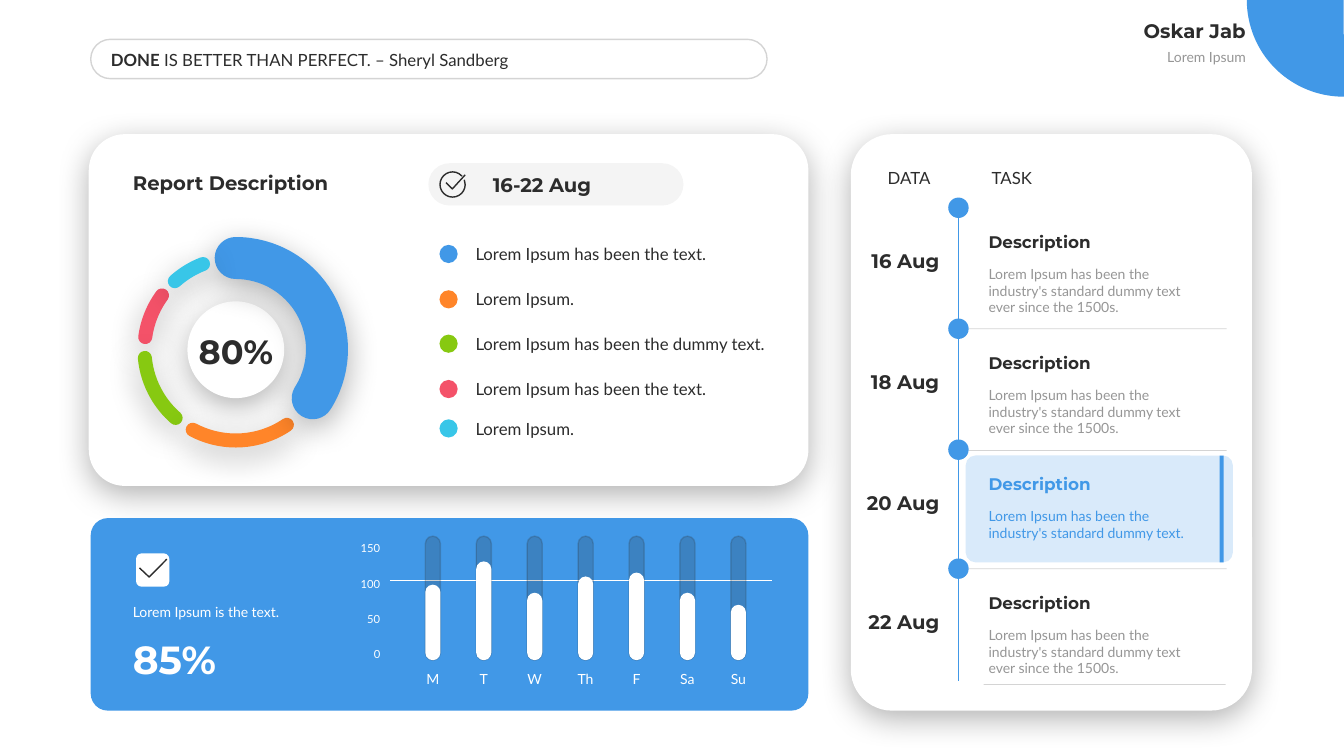
"""Build a weekly report dashboard slide with a ring chart, day bars and a task timeline."""
import lxml.etree
import pptx
import pptx.dml.color
import pptx.enum.shapes
import pptx.enum.text
import pptx.oxml.ns
import pptx.util

Pt = pptx.util.Pt
RGBColor = pptx.dml.color.RGBColor
SHAPE = pptx.enum.shapes.MSO_SHAPE
ALIGN = pptx.enum.text.PP_ALIGN
ANCHOR = pptx.enum.text.MSO_ANCHOR
qn = pptx.oxml.ns.qn

BLUE = RGBColor(0x41, 0x98, 0xE7)
PALE_BLUE = RGBColor(0xD9, 0xEA, 0xFA)
ORANGE = RGBColor(0xFF, 0x85, 0x29)
GREEN = RGBColor(0x87, 0xC9, 0x11)
RED = RGBColor(0xF4, 0x52, 0x69)
CYAN = RGBColor(0x38, 0xC6, 0xE8)
DARK = RGBColor(0x2C, 0x2C, 0x2C)
GREY = RGBColor(0x96, 0x96, 0x96)
WHITE = RGBColor(0xFF, 0xFF, 0xFF)
BLACK = RGBColor(0, 0, 0)

LEGEND = [
    ("Lorem Ipsum has been the text.", BLUE, 181.4),
    ("Lorem Ipsum.", ORANGE, 213.8),
    ("Lorem Ipsum has been the dummy text.", GREEN, 245.5),
    ("Lorem Ipsum has been the text.", RED, 277.9),
    ("Lorem Ipsum.", CYAN, 306),
]
RING_ARCS = [
    (RED, 10, 112.61, 129.69),
    (GREEN, 10, 78.71, 104.7),
    (ORANGE, 10, 33.54, 70.86),
    (BLUE, 30, 162, 19.46),
    (CYAN, 10, 136.92, 149.42),
]
DAY_BARS = [("M", 54), ("T", 70.6), ("W", 48.2), ("Th", 59.8),
            ("F", 62.6), ("Sa", 48.2), ("Su", 39.6)]
AXIS_LABELS = ["0", "50", "100", "150"]
LONG_TASK = "Lorem Ipsum has been the industry's standard dummy text ever since the 1500s."
SHORT_TASK = "Lorem Ipsum has been the industry's standard dummy text."
TASKS = [
    ("16 Aug", LONG_TASK, 148.4, DARK, GREY),
    ("18 Aug", LONG_TASK, 234.8, DARK, GREY),
    ("20 Aug", SHORT_TASK, 321.2, BLUE, BLUE),
    ("22 Aug", LONG_TASK, 406.2, DARK, GREY),
]
DIVIDERS = [(692, 234.8, 876.2), (692, 321.8, 876.2), (692, 406.2, 876.2), (702.7, 488.9, 875.5)]
CHECKS = [
    [(318.6, 130.5), (323.1, 135), (332.3, 124.9)],
    [(99.7, 405.7), (106.6, 412.2), (119.2, 399.4)],
]

presentation = pptx.Presentation()
presentation.slide_width, presentation.slide_height = Pt(960), Pt(540)
slide = presentation.slides.add_slide(presentation.slide_layouts[6])
shapes = slide.shapes


def set_alpha(parent, percent):
    color = parent.find(qn("a:solidFill") + "/" + qn("a:srgbClr"))
    lxml.etree.SubElement(color, qn("a:alpha"), val=str(percent * 1000))


def set_line(shape, color, width, alpha=100):
    shape.line.color.rgb = color
    shape.line.width = Pt(width)
    if alpha < 100:
        set_alpha(shape._element.spPr.find(qn("a:ln")), alpha)


def add_shape(kind, left, top, width, height, fill=None, alpha=100, adjustments=(), shadow=False):
    shape = shapes.add_shape(kind, Pt(left), Pt(top), Pt(width), Pt(height))
    for index, value in enumerate(adjustments):
        shape.adjustments[index] = value
    shape.line.fill.background()
    if fill is None:
        shape.fill.background()
    else:
        shape.fill.solid()
        shape.fill.fore_color.rgb = fill
        if alpha < 100:
            set_alpha(shape._element.spPr, alpha)
    shape.shadow.inherit = False
    if shadow:
        effects = shape._element.spPr.find(qn("a:effectLst"))
        outer = lxml.etree.SubElement(
            effects, qn("a:outerShdw"), blurRad=str(Pt(23)), dist=str(Pt(6)),
            dir="5400000", algn="t", rotWithShape="0")
        color = lxml.etree.SubElement(outer, qn("a:srgbClr"), val=str(BLACK))
        lxml.etree.SubElement(color, qn("a:alpha"), val="30000")
    return shape


def add_dot(center_x, center_y, diameter, color):
    return add_shape(SHAPE.OVAL, center_x - diameter / 2, center_y - diameter / 2,
                     diameter, diameter, color)


def add_line(x1, y1, x2, y2, color, alpha=100):
    line = shapes.add_connector(pptx.enum.shapes.MSO_CONNECTOR.STRAIGHT,
                                Pt(x1), Pt(y1), Pt(x2), Pt(y2))
    set_line(line, color, 0.5, alpha)
    lxml.etree.SubElement(line._element.spPr, qn("a:effectLst"))


def add_text(text, left, top, width, height, size, color=DARK, title=False,
             align=ALIGN.LEFT, anchor=ANCHOR.MIDDLE, inset=7.2, bold_words=""):
    frame = shapes.add_textbox(Pt(left), Pt(top), Pt(width), Pt(height)).text_frame
    frame.word_wrap = True
    frame.vertical_anchor = anchor
    frame.margin_left = frame.margin_right = Pt(inset)
    paragraph = frame.paragraphs[0]
    paragraph.alignment = align
    for words, bold in ((bold_words, True), (text, title)):
        if words:
            run = paragraph.add_run()
            run.text = words
            run.font.size = Pt(size)
            run.font.name = "Montserrat" if title else "Lato"
            run.font.bold = bold
            run.font.color.rgb = color


def add_check(points):
    builder = shapes.build_freeform(Pt(points[0][0]), Pt(points[0][1]))
    builder.add_line_segments([(Pt(x), Pt(y)) for x, y in points[1:]], close=False)
    check = builder.convert_to_shape()
    check.fill.background()
    check.shadow.inherit = False
    set_line(check, DARK, 1)


def add_header():
    add_shape(SHAPE.ARC, 890.6, -69.1, 138.2, 138.2, BLUE, adjustments=(53.78, 108.27))
    add_text("Lorem Ipsum", 730, 31, 167, 19.4, 10, GREY, align=ALIGN.RIGHT, anchor=ANCHOR.TOP)
    add_text("Oskar Jab", 730, 9.4, 167, 24.5, 14, title=True, align=ALIGN.RIGHT)
    quote = add_shape(SHAPE.ROUNDED_RECTANGLE, 64.8, 28.1, 483.1, 28.1, adjustments=(0.5,))
    set_line(quote, DARK, 1, 20)
    add_text(" IS BETTER THAN PERFECT. – Sheryl Sandberg", 76.3, 31.7, 406, 21.6, 12,
             inset=2.9, bold_words="DONE")


def add_report_card():
    add_shape(SHAPE.ROUNDED_RECTANGLE, 63.4, 95.8, 514.1, 251.3, WHITE,
              adjustments=(0.103,), shadow=True)
    add_text("Report Description", 87.8, 118.1, 253.4, 24.5, 14, title=True)
    add_shape(SHAPE.ROUNDED_RECTANGLE, 306, 116.6, 182.2, 30.2, DARK, 5, (0.5,))
    ring = add_shape(SHAPE.ARC, 314.3, 122.8, 18, 18, adjustments=(202.8, 191))
    set_line(ring, DARK, 1)
    add_check(CHECKS[0])
    add_text("16-22 Aug", 344.9, 119.5, 135.4, 24.5, 14, title=True)
    add_shape(SHAPE.OVAL, 133.9, 215.3, 69.1, 69.1, WHITE, shadow=True)
    add_text("80%", 129.6, 232.6, 77.8, 36, 24, title=True, align=ALIGN.CENTER)
    for color, width, start, end in RING_ARCS:
        arc = add_shape(SHAPE.ARC, 103.2, 184.3, 130.4, 130.4,
                        adjustments=(start, end), shadow=True)
        set_line(arc, color, width)
        arc._element.spPr.find(qn("a:ln")).set("cap", "rnd")
    for label, color, center_y in LEGEND:
        add_dot(320.4, center_y, 13, color)
        add_text(label, 332.6, center_y - 10.8, 227.5, 21.6, 12)


def add_week_card():
    add_shape(SHAPE.ROUNDED_RECTANGLE, 64.8, 370.1, 512.6, 137.5, BLUE, adjustments=(0.089,))
    add_shape(SHAPE.ROUNDED_RECTANGLE, 97.2, 395.3, 23.8, 23.8, WHITE)
    add_check(CHECKS[1])
    add_text("Lorem Ipsum is the text.", 87.8, 427.7, 135.4, 19.4, 10, WHITE)
    add_text("85%", 87.8, 450, 135.4, 41, 28, WHITE, title=True, anchor=ANCHOR.TOP)
    add_line(278.6, 414.7, 551.5, 414.7, WHITE)
    for index, label in enumerate(AXIS_LABELS):
        add_text(label, 243.4, 458.6 - 25.2 * index, 35.3, 17.3, 8, WHITE, align=ALIGN.RIGHT)
    bar_width, track_height, base = 10.8, 88.6, 471.6
    for index, (day, height) in enumerate(DAY_BARS):
        center_x = 309.2 + 36.37 * index
        left = center_x - bar_width / 2
        track = add_shape(SHAPE.ROUNDED_RECTANGLE, left, base - track_height,
                          bar_width, track_height, DARK, 20, (0.5,))
        set_line(track, DARK, 1, 20)
        add_shape(SHAPE.ROUNDED_RECTANGLE, left, base - height, bar_width, height,
                  WHITE, adjustments=(0.5,))
        add_text(day, center_x - 14, 475.2, 28, 19.4, 10, WHITE, align=ALIGN.CENTER, inset=0)


def add_task_card():
    add_shape(SHAPE.ROUNDED_RECTANGLE, 607.7, 95.8, 286.6, 411.8, WHITE,
              adjustments=(0.103,), shadow=True)
    add_shape(SHAPE.ROUNDED_RECTANGLE, 689.8, 325.4, 190.8, 76.3, PALE_BLUE, adjustments=(0.091,))
    add_shape(SHAPE.RECTANGLE, 871.2, 325.4, 2.9, 76.3, BLUE)
    add_text("DATA", 612.7, 115.9, 59, 21.6, 12, align=ALIGN.RIGHT)
    add_text("TASK", 701.3, 115.9, 126.7, 21.6, 12)
    for x1, y, x2 in DIVIDERS:
        add_line(x1, y, x2, y, DARK, 20)
    for date, body, dot_y, title_color, body_color in TASKS:
        add_line(684.6, dot_y + 3.4, 684.6, dot_y + 80, BLUE)
        add_dot(684.6, dot_y, 14.6, BLUE)
        add_text(date, 613.4, dot_y + 25.5, 60.5, 24.5, 14, title=True,
                 align=ALIGN.RIGHT, inset=2.9)
        add_text("Description", 699.1, dot_y + 13.7, 170.6, 21.6, 12, title_color, title=True)
        add_text(body, 699.1, dot_y + 37.6, 170.6, 44, 10, body_color, anchor=ANCHOR.TOP)


add_header()
add_report_card()
add_week_card()
add_task_card()
presentation.save("out.pptx")
